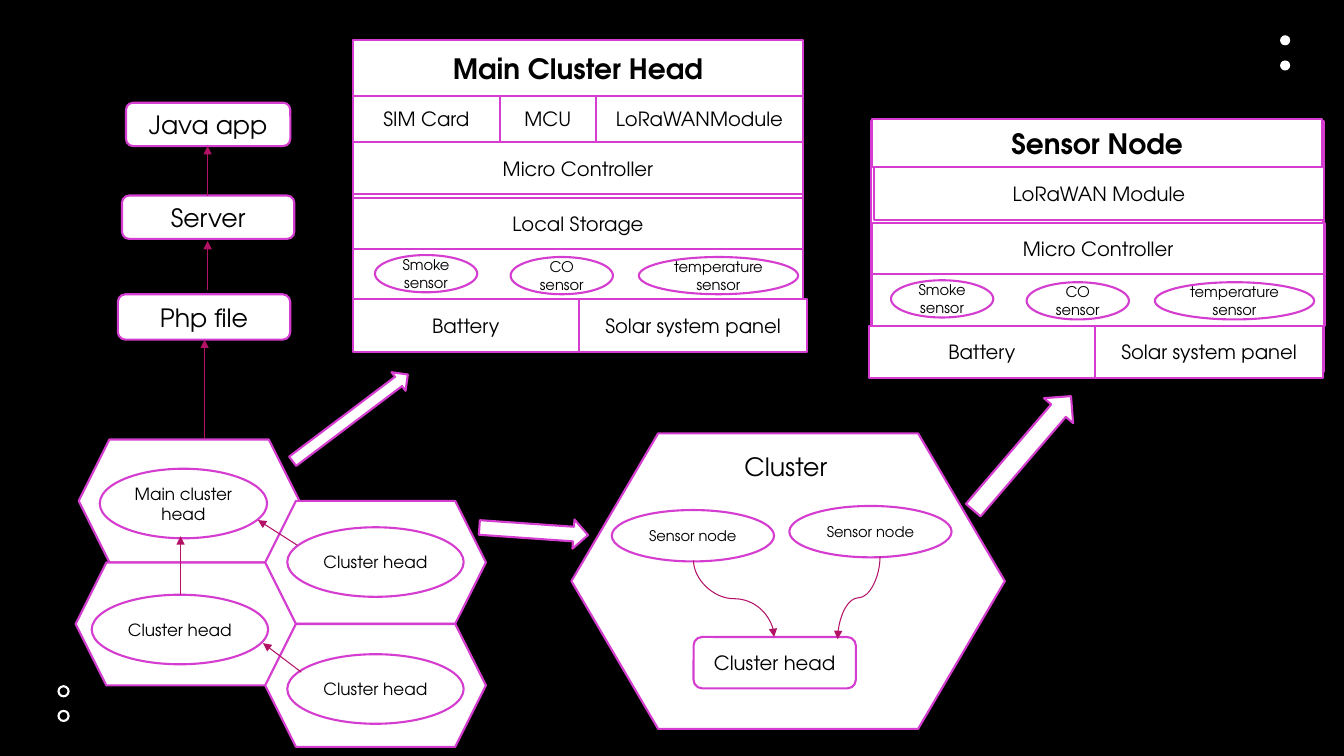
"""Build the sensor network architecture slide."""
from lxml import etree
from pptx import Presentation
from pptx.dml.color import RGBColor
from pptx.enum.shapes import MSO_CONNECTOR, MSO_SHAPE
from pptx.enum.text import MSO_ANCHOR, PP_ALIGN
from pptx.oxml.ns import qn
from pptx.util import Pt

RECT, ROUND, OVAL = MSO_SHAPE.RECTANGLE, MSO_SHAPE.ROUNDED_RECTANGLE, MSO_SHAPE.OVAL
HEXAGON, PREPARATION = MSO_SHAPE.HEXAGON, MSO_SHAPE.FLOWCHART_PREPARATION
UP_ARROW = MSO_SHAPE.UP_ARROW
STRAIGHT, CURVE = MSO_CONNECTOR.STRAIGHT, MSO_CONNECTOR.CURVE
CENTER, MIDDLE = PP_ALIGN.CENTER, MSO_ANCHOR.MIDDLE

FONT = "TeX Gyre Adventor"
COLORS = {"back": "000000", "text": "000000", "panel": "FFFFFF",
          "border": "D53DD0", "link": "B31166"}

SOLID_DOTS = [(914.4, 25.2), (914.4, 43.2)]
RING_DOTS = [(41.8, 490.2), (41.8, 507.8)]
DOT = 7.2

HEXAGONS = [(56.2, 313.9), (54, 401.8), (189.4, 357.8), (189.4, 445.7)]
HEXAGON_SIZE = (157.7, 87.8)
HEADS = [("Main cluster head", 71.3, 334.8, 119.5), ("Cluster head", 65.5, 424.8, 126),
         ("Cluster head", 205.2, 376.6, 126), ("Cluster head", 205.2, 467.3, 126)]
HEAD_HEIGHT = 49.7
CHAIN = [("Java app", (90, 73.4, 117.4, 31)), ("Server", (87.1, 139.7, 123.1, 31)),
         ("Php file", (84.2, 210.2, 123.1, 32.4))]
LINKS = [(129, 424.8, 129, 383), (215.3, 480.2, 187.9, 459.4), (212.4, 389.5, 184.3, 371.5),
         (148.3, 139.7, 148.3, 104.4), (148.3, 207.4, 148.3, 172.1),
         (146.2, 313.9, 146.2, 242.6)]

CLUSTER = (408.2, 309.6, 309.6, 211)
CLUSTER_PARTS = [(OVAL, "Sensor node", 437, 364.3, 10.5),
                 (OVAL, "Sensor node", 563.8, 361.4, 10.5),
                 (ROUND, "Cluster head", 495.4, 455, 14)]
CLUSTER_PART_SIZE = (115.9, 36.7)
CURVES = [(495.4, 400.3, 553, 455), (628.6, 397.4, 598.3, 456.5)]

PANELS = [
    {"base": (622.1, 86.4, 323.3, 179.3), "strip": (622.8, 195.8, 323.3), "foot": (620.6, 232.6),
     "title": ("Sensor Node", (622.8, 85, 321.8, 34.6)),
     "rows": [("LoRaWAN Module", (624.2, 119.5, 321.8, 37.4)),
              ("Micro Controller", (622.8, 159.1, 323.3, 37.4))]},
    {"base": (252, 68.4, 321.8, 179.3), "strip": (252, 177.8, 321.8), "foot": (252, 213.8),
     "title": ("Main Cluster Head", (252, 28.8, 321.8, 39.6)),
     "rows": [("SIM Card", (252, 67.3, 105.1, 34.6)), ("MCU", (357.1, 67.7, 68.4, 34.6)),
              ("LoRaWANModule", (425.5, 67.3, 148.3, 34.6)),
              ("Micro Controller", (252, 101.5, 321.8, 37.4)),
              ("Local Storage", (252, 141.1, 321.8, 37.4))]},
]
ROW_HEIGHT = 37.4
SENSORS = [("Smoke sensor", 15.8, 4.4, 73.1), ("CO sensor", 112.7, 5.8, 73.1),
           ("temperature sensor", 204.3, 5.8, 113.8)]
SENSOR_HEIGHT = 26.6
POWER = [("Battery", 0, 161.6), ("Solar system panel", 161.6, 163.1)]

BLOCK_ARROWS = [((241.9, 247, 16.6, 103), 53), ((370.8, 340.6, 20.9, 77.8), 94),
                ((716.4, 270, 27.4, 107.3), 40.6)]

prs = Presentation()
prs.slide_width, prs.slide_height = Pt(960), Pt(540)
s = prs.slides.add_slide(prs.slide_layouts[6])


def rgb(name):
    """Return the named colour."""
    return RGBColor.from_string(COLORS[name])


def put(kind, box, text="", size=14, bold=False, fill="panel", line="border", rotation=0):
    """Add a shape with optional centred text."""
    sp = s.shapes.add_shape(kind, *(Pt(v) for v in box))
    sp.shadow.inherit = False
    sp.rotation = rotation
    if fill:
        sp.fill.solid()
        sp.fill.fore_color.rgb = rgb(fill)
    else:
        sp.fill.background()
    if line:
        sp.line.color.rgb = rgb(line)
        sp.line.width = Pt(1.5)
    else:
        sp.line.fill.background()
    if text:
        tf = sp.text_frame
        tf.word_wrap = True
        tf.vertical_anchor = MIDDLE
        tf.margin_left = tf.margin_right = Pt(3.6)
        p = tf.paragraphs[0]
        p.alignment = CENTER
        r = p.add_run()
        r.text = text
        r.font.name, r.font.size, r.font.bold = FONT, Pt(size), bold
        r.font.color.rgb = rgb("text")


def connect(kind, x1, y1, x2, y2):
    """Add a connector with an arrowhead at its end."""
    c = s.shapes.add_connector(kind, Pt(x1), Pt(y1), Pt(x2), Pt(y2))
    c.line.color.rgb = rgb("link")
    c.line.width = Pt(0.75)
    etree.SubElement(c.element.spPr.find(qn("a:ln")), qn("a:tailEnd"), type="triangle")
    etree.SubElement(c.element.spPr, qn("a:effectLst"))
    return c


def connect_down(x1, y1, x2, y2):
    """Add a curve that leaves and arrives vertically."""
    turn = 1 if x2 < x1 else -1
    cx, cy = (x1 + x2) / 2, (y1 + y2) / 2
    dx, dy = turn * (y2 - y1) / 2, abs(x2 - x1) / 2
    c = connect(CURVE, cx - dx, cy - dy, cx + dx, cy + dy)
    c.element.spPr.find(qn("a:xfrm")).set("rot", str(turn * 90 % 360 * 60000))


def draw_panel(panel):
    """Draw one hardware stack."""
    put(RECT, panel["base"])
    for text, box in panel["rows"]:
        put(RECT, box, text)
    x, y, width = panel["strip"]
    put(RECT, (x, y, width, ROW_HEIGHT))
    left, foot = panel["foot"]
    for text, dx, w in POWER:
        put(RECT, (left + dx, foot, w, ROW_HEIGHT), text)
    for text, dx, dy, w in SENSORS:
        put(OVAL, (left + dx, y + dy, w, SENSOR_HEIGHT), text, size=10.5)
    text, box = panel["title"]
    put(RECT, box, text, size=20, bold=True)


def main():
    """Draw the slide and save it."""
    s.background.fill.solid()
    s.background.fill.fore_color.rgb = rgb("back")
    for x, y in SOLID_DOTS:
        put(OVAL, (x, y, DOT, DOT), line=None)
    for x, y in RING_DOTS:
        put(OVAL, (x, y, DOT, DOT), fill=None, line="panel")

    for corner in HEXAGONS:
        put(HEXAGON, corner + HEXAGON_SIZE)
    for text, x, y, w in HEADS:
        put(OVAL, (x, y, w, HEAD_HEIGHT), text, size=12)
    for text, box in CHAIN:
        put(ROUND, box, text, size=18)
    for ends in LINKS:
        connect(STRAIGHT, *ends)

    put(PREPARATION, CLUSTER)
    for kind, text, x, y, size in CLUSTER_PARTS:
        put(kind, (x, y) + CLUSTER_PART_SIZE, text, size=size)
    for ends in CURVES:
        connect_down(*ends)
    put(RECT, (495.4, 319.7, 131.8, 27.4), "Cluster", size=18, line="panel")

    for panel in PANELS:
        draw_panel(panel)
    for box, rotation in BLOCK_ARROWS:
        put(UP_ARROW, box, rotation=rotation)
    prs.save("out.pptx")


if __name__ == "__main__":
    main()
